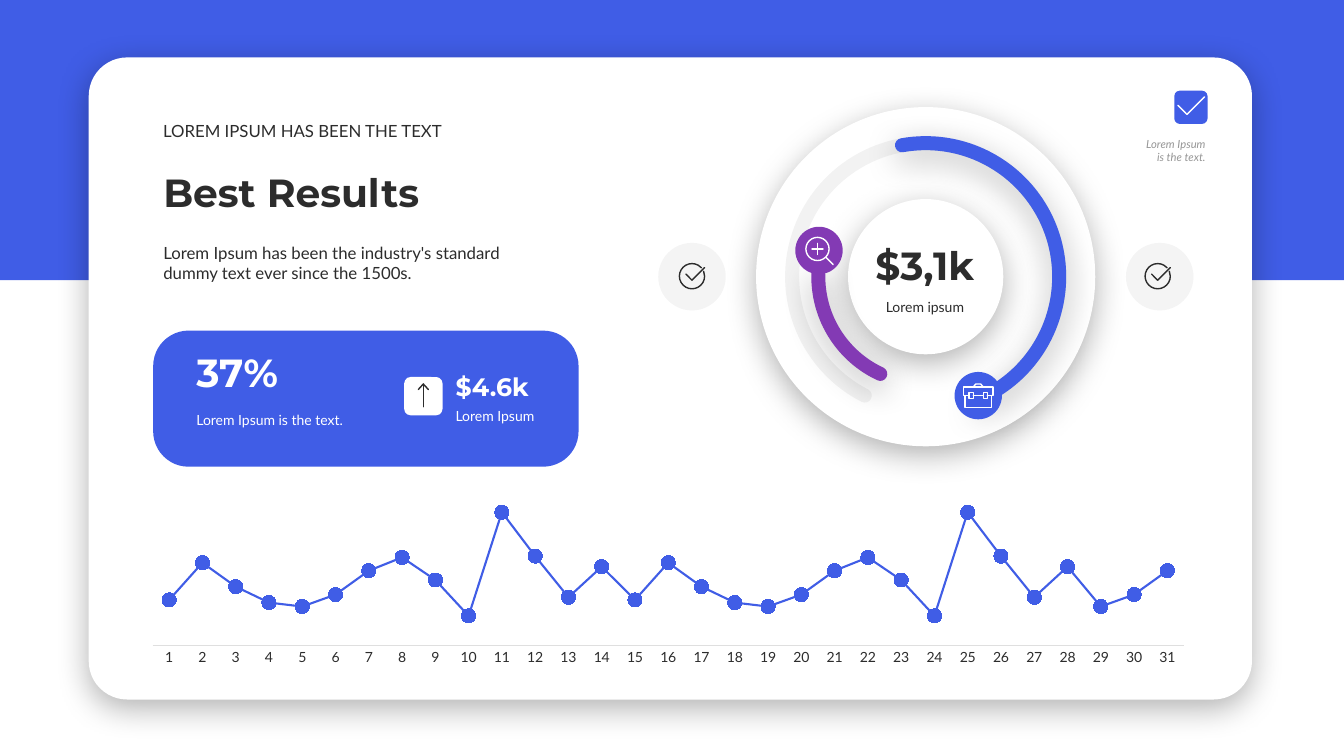
from dataclasses import dataclass

from lxml import etree
from pptx import Presentation
from pptx import util as u
from pptx.chart.data import CategoryChartData
from pptx.dml.color import RGBColor
from pptx.enum import chart as charts, shapes, text
from pptx.oxml import ns

COLUMNS, ROWS = 133.33, 75
WIDTH, HEIGHT = u.Inches(13.33), u.Inches(7.5)
KIND = shapes.MSO_SHAPE
LEFT, CENTER, RIGHT = text.PP_ALIGN.LEFT, text.PP_ALIGN.CENTER, text.PP_ALIGN.RIGHT
TOP, BOTTOM = text.MSO_ANCHOR.TOP, text.MSO_ANCHOR.BOTTOM


@dataclass(frozen=True)
class Theme:
    """Colours, fonts and type sizes of the deck."""
    blue: str = "405DE6"
    purple: str = "833AB4"
    ink: str = "2C2C2C"
    white: str = "FFFFFF"
    muted: str = "969696"
    rule: str = "DFDFDF"
    body: str = "Lato"
    display: str = "Montserrat"
    hero: int = 28
    figure: int = 18
    lead: int = 12
    label: int = 10
    note: int = 8


def assign(target, values):
    """Set each named attribute on the target."""
    for name, value in values.items():
        setattr(target, name, value)


def add(parent, tag, **attributes):
    """Append a namespaced element with attributes."""
    child = etree.SubElement(parent, ns.qn(tag))
    for name, value in attributes.items():
        child.set(name, str(value))
    return child


def around(center, size):
    """Return the square box of a size around a center."""
    return center[0] - size / 2, center[1] - size / 2, size, size


class Painter:
    """Draws styled elements on the current slide by grid cells."""

    def __init__(self, page, theme):
        """Keep the slide and its theme."""
        self.page, self.theme = page, theme

    def place(self, box):
        """Turn columns and rows into slide lengths."""
        units = (WIDTH / COLUMNS, HEIGHT / ROWS) * (len(box) // 2)
        return [round(cells * unit) for cells, unit in zip(box, units)]

    def finish(self, shape, fill=None, line=None, weight=1, alpha=None, shadow=False):
        """Set fill, outline, transparency and shadow."""
        shape.shadow.inherit = False
        if fill:
            shape.fill.solid()
            shape.fill.fore_color.rgb = RGBColor.from_string(fill)
        else:
            shape.fill.background()
        if line:
            shape.line.color.rgb = RGBColor.from_string(line)
            shape.line.width = u.Pt(weight)
            shape.element.spPr.find(ns.qn("a:ln")).set("cap", "rnd")
        else:
            shape.line.fill.background()
        if alpha:
            for color in shape.element.spPr.iter(ns.qn("a:srgbClr")):
                add(color, "a:alpha", val=alpha * 1000)
        if shadow:
            effects = shape.element.spPr.find(ns.qn("a:effectLst"))
            outer = add(effects, "a:outerShdw", blurRad=u.Pt(23), dist=u.Pt(6),
                        dir=90 * 60000, algn="t", rotWithShape=0)
            add(add(outer, "a:srgbClr", val="000000"), "a:alpha", val=30000)

    def shape(self, kind, box, corner=None, **look):
        """Add a preset shape."""
        shape = self.page.shapes.add_shape(kind, *self.place(box))
        if corner is not None:
            shape.adjustments[0] = corner
        self.finish(shape, **look)

    def arc(self, center, size, start, end, color, weight=10, **look):
        """Add a clockwise arc between two angles in degrees."""
        shape = self.page.shapes.add_shape(KIND.ARC, *self.place(around(center, size)))
        for index, angle in enumerate((start, end)):
            shape.adjustments[index] = angle * 0.6
        self.finish(shape, line=color, weight=weight, **look)

    def icon(self, center, strokes, color):
        """Add an outline icon from strokes around a center."""
        outlines = [[self.place((center[0] + x, center[1] + y)) for x, y in stroke]
                    for stroke in strokes]
        builder = self.page.shapes.build_freeform(*outlines[0][0])
        for index, points in enumerate(outlines):
            if index:
                builder.move_to(*points[0])
            builder.add_line_segments(points[1:], close=False)
        self.finish(builder.convert_to_shape(), line=color)

    def caption(self, box, words, size, color, font=None, anchor=TOP, align=LEFT,
                inset=0.1, after=0, italic=False, holder=None):
        """Set one paragraph in a text box or a placeholder."""
        area = self.place(box)
        if holder is None:
            holder = self.page.shapes.add_textbox(*area)
        else:
            assign(holder, dict(zip(("left", "top", "width", "height"), area)))
            holder.element.getparent().append(holder.element)
        frame = holder.text_frame
        assign(frame, {"word_wrap": True, "vertical_anchor": anchor,
                       "auto_size": text.MSO_AUTO_SIZE.SHAPE_TO_FIT_TEXT,
                       "margin_left": u.Inches(inset), "margin_right": u.Inches(inset),
                       "margin_top": u.Inches(0.05), "margin_bottom": u.Inches(0.05)})
        para = frame.paragraphs[0]
        assign(para, {"alignment": align, "space_before": u.Pt(0), "space_after": u.Pt(after)})
        if holder.is_placeholder:
            props = para._p.get_or_add_pPr()
            props.set("marL", "0")
            props.set("indent", "0")
            add(props, "a:buNone")
        span = para.add_run()
        span.text = words
        font = font or self.theme.body
        assign(span.font, {"name": font, "size": u.Pt(size), "italic": italic,
                           "bold": font == self.theme.display})
        span.font.color.rgb = RGBColor.from_string(color)

    def line_chart(self, box, values, top):
        """Add a line chart with numbered days."""
        theme = self.theme
        data = CategoryChartData()
        data.categories = [str(day + 1) for day in range(len(values))]
        data.add_series("Series 1", values)
        chart = self.page.shapes.add_chart(
            charts.XL_CHART_TYPE.LINE_MARKERS_STACKED, *self.place(box), data).chart
        assign(chart, {"has_legend": False, "has_title": False})
        days, amounts = chart.category_axis, chart.value_axis
        assign(amounts, {"visible": False, "has_major_gridlines": False,
                         "minimum_scale": 0, "maximum_scale": top})
        assign(days, {"has_major_gridlines": False,
                      "major_tick_mark": charts.XL_TICK_MARK.NONE})
        for font in (chart.font, days.tick_labels.font):
            assign(font, {"name": theme.body, "size": u.Pt(theme.label)})
            font.color.rgb = RGBColor.from_string(theme.ink)
        series = chart.plots[0].series[0]
        series.smooth = False
        assign(series.marker, {"style": charts.XL_MARKER_STYLE.CIRCLE, "size": 10})
        series.marker.format.fill.solid()
        series.marker.format.fill.fore_color.rgb = RGBColor.from_string(theme.blue)
        for outline, color, weight in ((series.format.line, theme.blue, 1.5),
                                       (series.marker.format.line, theme.blue, 0.75),
                                       (days.format.line, theme.rule, 0.75)):
            outline.color.rgb = RGBColor.from_string(color)
            outline.width = u.Pt(weight)
        plot = chart.element.find(".//" + ns.qn("c:plotArea"))
        for old in plot.findall(ns.qn("c:layout")):
            plot.remove(old)
        layout = add(plot, "c:layout")
        plot.insert(0, layout)
        manual = add(layout, "c:manualLayout")
        for tag, value in (("layoutTarget", "inner"), ("xMode", "edge"), ("yMode", "edge"),
                           ("x", 0.02), ("y", 0.01), ("w", 0.96), ("h", 0.86)):
            add(manual, "c:" + tag, val=value)


def main():
    """Build the results slide."""
    deck = Presentation()
    assign(deck, {"slide_width": WIDTH, "slide_height": HEIGHT})
    page = deck.slides.add_slide(deck.slide_layouts[1])
    theme = Theme()
    draw = Painter(page, theme)
    blue, purple, ink, white = theme.blue, theme.purple, theme.ink, theme.white

    draw.shape(KIND.RECTANGLE, (0, 0, COLUMNS, 27.8), fill=blue)
    draw.shape(KIND.ROUNDED_RECTANGLE, (8.8, 5.7, 115.4, 63.7), 0.06, fill=white, shadow=True)

    dial = (91.83, 27.45)
    draw.shape(KIND.OVAL, around(dial, 33.65), fill=white, shadow=True)
    draw.arc(dial, 26.5, 117.1, 66.1, ink, alpha=5)
    draw.shape(KIND.OVAL, around(dial, 15.4), fill=white, shadow=True)
    draw.arc(dial, 26.5, 259.8, 65.7, blue, shadow=True)
    draw.arc(dial, 21.3, 115, 181.3, purple, shadow=True)
    draw.caption((83.6, 29.1, 16.3, 2.7), "Lorem ipsum", theme.label, ink, align=CENTER, after=6)
    draw.caption((83.6, 23.4, 16.3, 5.7), "$3,1k", theme.hero, ink, theme.display,
                 BOTTOM, CENTER, inset=0.08, after=6)

    left = 15.2
    draw.caption((left, 11.5, 36.8, 3), "LOREM IPSUM HAS BEEN THE TEXT", theme.lead, ink,
                 anchor=BOTTOM)
    draw.caption((left, 16.2, 36.8, 5.7), "Best Results", theme.hero, ink, theme.display,
                 BOTTOM, holder=page.shapes.title)
    draw.caption((left, 23.6, 36.8, 5),
                 "Lorem Ipsum has been the industry's standard dummy text ever since the 1500s.",
                 theme.lead, ink, holder=page.placeholders[1])

    for column, shift in ((68.65, 0), (115.05, -0.2)):
        draw.shape(KIND.OVAL, around((column, 27.45), 6.7), fill=ink, alpha=5)
        mark = (column + shift, 27.4)
        draw.arc(mark, 2.5, 337, 318, ink, weight=1)
        draw.icon(mark, [[(-0.6, -0.2), (0, 0.4), (1.25, -0.85)]], ink)

    case = (97.05, 39.25)
    draw.shape(KIND.OVAL, around(case, 4.7), fill=blue)
    clasps = [[(x, -0.3), (x + 0.4, -0.3), (x + 0.4, 0.3), (x, 0.3), (x, -0.3)]
              for x in (-0.9, 0.5)]
    draw.icon(case, clasps + [
        [(-0.9, 0), (-1.45, 0), (-1.45, -0.85), (1.45, -0.85), (1.45, 0), (0.9, 0)],
        [(-0.5, 0), (0.5, 0)],
        [(-1.3, 0), (-1.3, 1.2), (1.3, 1.2), (1.3, 0)],
        [(-0.5, -0.85), (-0.25, -1.15), (0.25, -1.15), (0.5, -0.85)]], white)

    lens = (81.25, 24.85)
    draw.shape(KIND.OVAL, around(lens, 4.7), fill=purple)
    draw.shape(KIND.OVAL, around((81.1, 24.7), 2.3), line=white)
    draw.icon(lens, [[(-0.7, -0.15), (0.4, -0.15)], [(-0.15, -0.7), (-0.15, 0.4)],
                     [(0.7, 0.7), (1.4, 1.4)]], white)

    tick = (118.15, 10.65)
    draw.shape(KIND.ROUNDED_RECTANGLE, around(tick, 3.3), fill=blue)
    draw.icon(tick, [[(-1.3, -0.2), (-0.4, 0.7), (1.35, -1.05)]], white)
    draw.caption((112.4, 13.1, 8.2, 3.7), "Lorem Ipsum is the text.", theme.note, theme.muted,
                 align=RIGHT, italic=True)

    draw.shape(KIND.ROUNDED_RECTANGLE, (left, 32.8, 42.2, 13.5), 0.26, fill=blue)
    draw.caption((18.5, 40.3, 18.4, 2.7), "Lorem Ipsum is the text.", theme.label, white)
    draw.caption((18.5, 34, 18.8, 5.7), "37%", theme.hero, white, theme.display, BOTTOM)
    rise = (42, 39.3)
    draw.shape(KIND.ROUNDED_RECTANGLE, around(rise, 3.8), fill=white)
    draw.icon(rise, [[(-0.5, -0.65), (0, -1.2), (0.5, -0.65)], [(0, -1.2), (0, 1.05)]], ink)
    draw.caption((45.2, 39.9, 10.4, 2.7), "Lorem Ipsum", theme.label, white, inset=0)
    draw.caption((45.2, 36.3, 10.4, 4), "$4.6k", theme.figure, white, theme.display,
                 BOTTOM, inset=0)

    draw.line_chart((13, 48, 106.6, 18.4),
                    [34, 62, 44, 32, 29, 38, 56, 66, 49, 22, 100, 67, 36, 59, 34, 62,
                     44, 32, 29, 38, 56, 66, 49, 22, 100, 67, 36, 59, 29, 38, 56], 120)
    deck.save("out.pptx")


if __name__ == "__main__":
    main()
